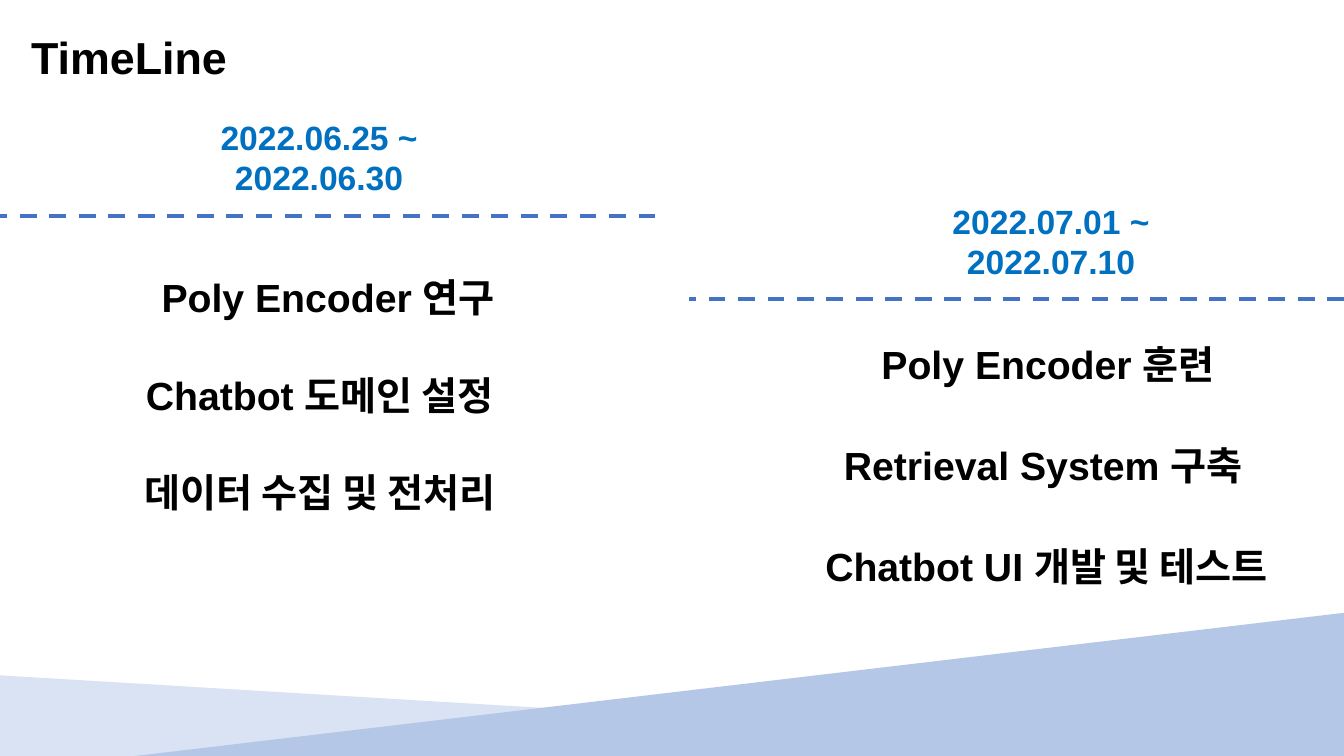
from lxml import etree
from pptx import Presentation
from pptx.dml.color import RGBColor
from pptx.enum.dml import MSO_LINE
from pptx.enum.shapes import MSO_CONNECTOR, MSO_SHAPE
from pptx.enum.text import MSO_AUTO_SIZE, PP_ALIGN
from pptx.oxml.ns import qn
from pptx.util import Inches, Pt

BLACK = RGBColor(0x00, 0x00, 0x00)
DATE_BLUE = RGBColor(0x00, 0x70, 0xC0)
LINE_BLUE = RGBColor(0x44, 0x72, 0xC4)
PALE_BLUE = RGBColor(0xDA, 0xE3, 0xF3)
SOFT_BLUE = RGBColor(0xB4, 0xC7, 0xE7)
WIDTH, HEIGHT = 13.33, 7.5
LINE_WIDTH = 6.5
DATE_WIDTH, DATE_HEIGHT, DATE_RISE = 2.73, 0.91, 1.03
ITEM_HEIGHT = 0.57

PERIODS = [
    {"left": 0, "line_top": 2.14, "date": "2022.06.25 ~ 2022.06.30",
     "date_left": 1.8, "first": 0.52, "pitch": 0.97,
     "items": [("Poly Encoder 연구", 1.34, 3.83),
               ("Chatbot 도메인 설정 ", 1.14, 4.15),
               ("데이터 수집 및 전처리 ", 1.14, 4.15)]},
    {"left": WIDTH - LINE_WIDTH, "line_top": 2.97, "date": "2022.07.01 ~ 2022.07.10",
     "date_left": 2.23, "first": 0.36, "pitch": 1.0,
     "items": [("Poly Encoder 훈련", 1.65, 3.83),
               ("Retrieval System 구축 ", 1.34, 4.44),
               ("Chatbot UI 개발 및 테스트 ", 1.08, 5.03)]},
]


def add_text(s, text, box, size, color, align=PP_ALIGN.CENTER):
    """Add one bold wrapped paragraph in the given box."""
    tf = s.shapes.add_textbox(*map(Inches, box)).text_frame
    tf.word_wrap = True
    tf.auto_size = MSO_AUTO_SIZE.SHAPE_TO_FIT_TEXT
    p = tf.paragraphs[0]
    p.alignment = align
    r = p.add_run()
    r.text = text
    for name, value in {"name": "Arial", "size": Pt(size), "bold": True}.items():
        setattr(r.font, name, value)
    r.font.color.rgb = color


def add_slope(s, box, color, mirrored=False):
    """Add a right triangle that rises to the left, or to the right if mirrored."""
    sp = s.shapes.add_shape(MSO_SHAPE.RIGHT_TRIANGLE, *map(Inches, box))
    sp.shadow.inherit = False
    sp.fill.solid()
    sp.fill.fore_color.rgb = color
    sp.line.fill.background()
    if mirrored:
        sp._element.spPr.find(qn("a:xfrm")).set("flipH", "1")


def add_footer(s):
    """Draw the two overlapping slopes along the bottom of the slide."""
    add_slope(s, (0, 6.7, WIDTH, HEIGHT - 6.7), PALE_BLUE)
    add_slope(s, (1.26, 6.08, WIDTH - 1.26, 1.43), SOFT_BLUE, mirrored=True)


def add_divider(s, left, top):
    """Draw a dashed line from right to left."""
    line = s.shapes.add_connector(MSO_CONNECTOR.STRAIGHT, *map(
        Inches, (left + LINE_WIDTH, top, left, top)))
    line.line.color.rgb = LINE_BLUE
    line.line.width = Pt(3)
    line.line.dash_style = MSO_LINE.DASH
    etree.SubElement(line._element.spPr, qn("a:effectLst"))


def add_period(s, left, line_top, date, date_left, first, pitch, items):
    """Place a date above its dashed line and the tasks below it."""
    add_divider(s, left, line_top)
    add_text(s, date, (left + date_left, line_top - DATE_RISE, DATE_WIDTH, DATE_HEIGHT),
             24, DATE_BLUE)
    for row, (text, indent, width) in enumerate(items):
        top = line_top + first + row * pitch
        add_text(s, text, (left + indent, top, width, ITEM_HEIGHT), 28, BLACK)


def main():
    """Build and save the timeline slide."""
    prs = Presentation()
    prs.slide_width, prs.slide_height = Inches(WIDTH), Inches(HEIGHT)
    s = prs.slides.add_slide(prs.slide_layouts[6])
    add_footer(s)
    add_text(s, "TimeLine", (0.21, 0.25, 9.4, 0.64), 32, BLACK, PP_ALIGN.LEFT)
    for period in PERIODS:
        add_period(s, **period)
    prs.save("out.pptx")


if __name__ == "__main__":
    main()
